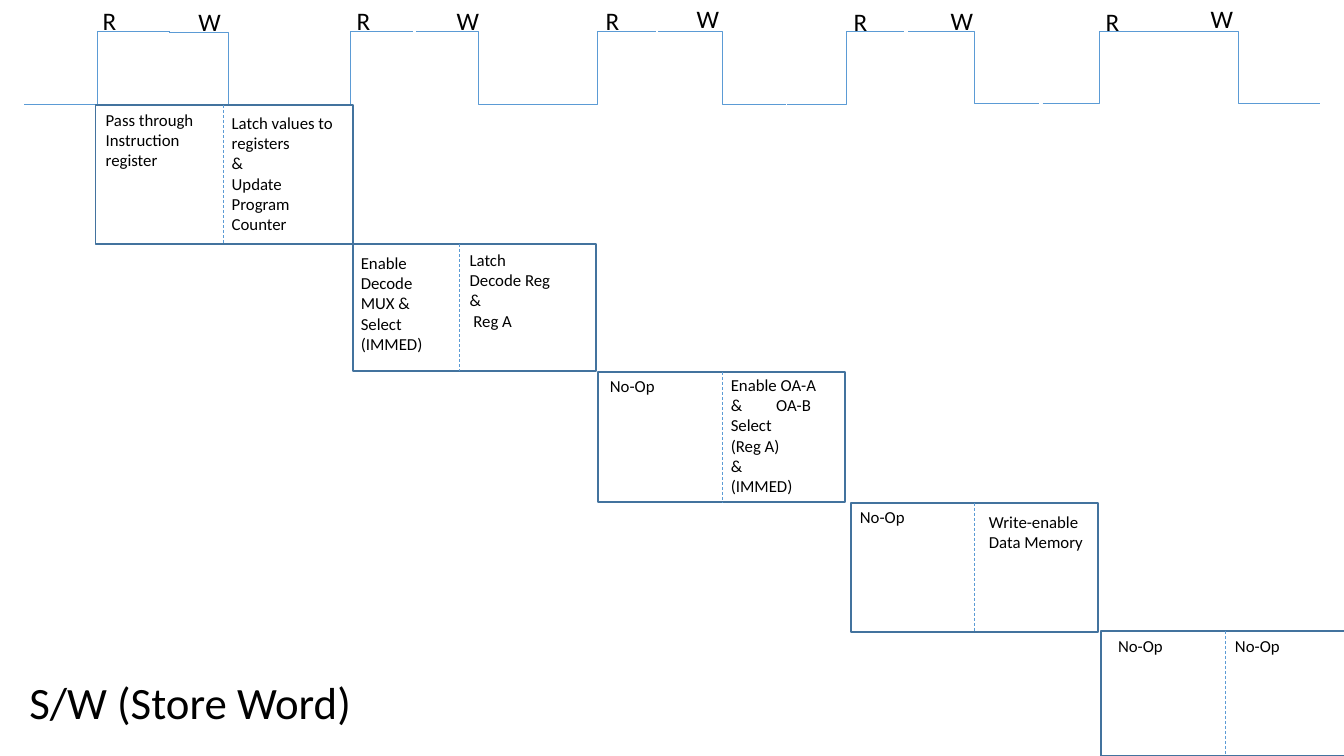
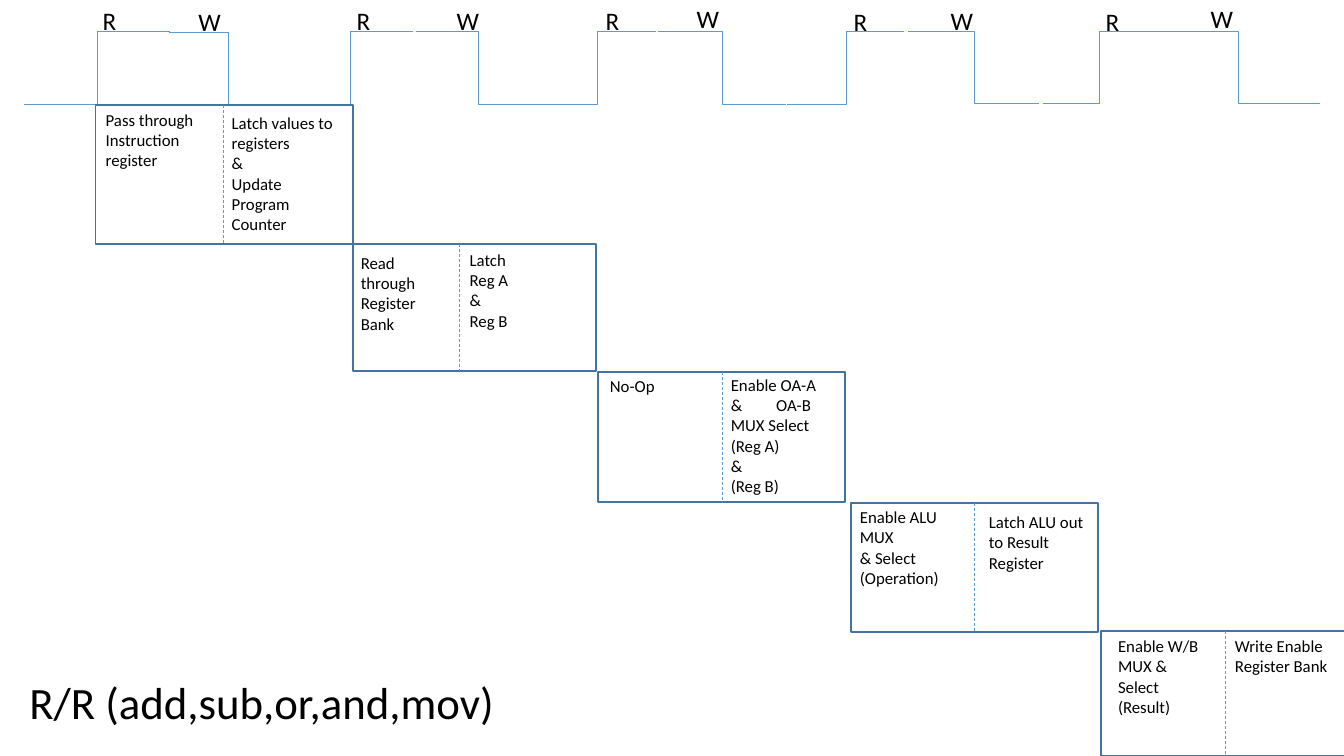
from dataclasses import dataclass
from typing import Any, NamedTuple

from lxml.etree import SubElement
from pptx import Presentation
from pptx.dml.color import RGBColor
from pptx.enum.dml import MSO_LINE_DASH_STYLE as Dash
from pptx.enum.shapes import MSO_AUTO_SHAPE_TYPE as Shape, MSO_CONNECTOR_TYPE as Link
from pptx.enum.text import MSO_ANCHOR as Anchor, MSO_AUTO_SIZE as AutoSize, PP_ALIGN as Align
from pptx.oxml.ns import qn
from pptx.slide import Slide
from pptx.text.text import TextFrame
from pptx.util import Inches, Pt

# Shared look
BLACK = RGBColor(0x00, 0x00, 0x00)
STAGE_BLUE = RGBColor(0x43, 0x73, 0x9E)
CLOCK_BLUE = RGBColor(0x5B, 0x9B, 0xD5)
FONT = "Calibri"
FRAME_FORMAT = {"word_wrap": True, "auto_size": AutoSize.SHAPE_TO_FIT_TEXT,
                "vertical_anchor": Anchor.TOP}
TITLE_ONLY = 5
OPERAND_TAB = Inches(0.45)


class Place(NamedTuple):
    left: float
    top: float
    width: float
    height: float


class Edge(NamedTuple):
    """One clock transition, from its start to its end."""
    x1: float
    y1: float
    x2: float
    y2: float


@dataclass(frozen=True)
class Stage:
    box: Place
    divider: float
    read_at: tuple[float, float, float]
    write_at: tuple[float, float, float]


@dataclass(frozen=True)
class Step:
    """What a stage does in one half cycle, and how many rows that takes."""
    text: str
    rows: int = 1


@dataclass(frozen=True)
class Instruction:
    title: str
    steps: list[tuple[Step, Step]]


# Clock and pipeline layout
CLOCK = [
    Edge(0.24, 1.04, 1.69, 0.31), Edge(1.68, 0.32, 2.85, 1.05),
    Edge(2.85, 1.04, 4.10, 0.31), Edge(4.13, 0.31, 5.35, 1.04),
    Edge(5.35, 1.04, 6.51, 0.31), Edge(6.53, 0.31, 7.80, 1.04),
    Edge(7.81, 1.04, 8.97, 0.31), Edge(9.01, 0.31, 10.31, 1.03),
    Edge(10.34, 1.03, 11.47, 0.31), Edge(11.47, 0.31, 13.09, 1.03),
]
READ_MARKS = [(0.81, 0), (3.33, 0), (5.8, 0), (8.26, 0.01), (10.76, 0.01)]
WRITE_MARKS = [(1.87, 0.01), (4.43, 0), (6.81, -0.02), (9.33, 0), (11.91, -0.02)]
STAGES = [
    Stage(Place(0.95, 1.04, 2.55, 1.38), 2.22, (0.95, 1.04, 1.27), (2.2, 1.07, 1.27)),
    Stage(Place(3.5, 2.42, 2.41, 1.26), 4.56, (3.48, 2.46, 1.08), (4.56, 2.43, 1.36)),
    Stage(Place(5.93, 3.69, 2.45, 1.29), 7.16, (5.95, 3.68, 1.19), (7.15, 3.67, 1.27)),
    Stage(Place(8.44, 4.99, 2.45, 1.28), 9.66, (8.43, 4.98, 1.26), (9.71, 5.03, 1.22)),
    Stage(Place(10.92, 6.26, 2.47, 1.24), 12.15, (10.99, 6.26, 1.22), (12.15, 6.26, 1.18)),
]
TITLE_PLACE = Place(0.19, 6.64, 6.11, 0.64)

# Instructions, one per slide
NO_OP = Step("No-Op")
FETCH = (Step("Pass through\nInstruction register", 3),
         Step("Latch values to registers\n&\nUpdate\nProgram Counter", 6))
INSTRUCTIONS = [
    Instruction("S/W (Store Word)", [
        FETCH,
        (Step("Enable Decode MUX &\nSelect\n(IMMED)", 5),
         Step("Latch\nDecode Reg\n&\n Reg A", 4)),
        (NO_OP, Step("Enable OA-A\n&\tOA-B\nSelect\n(Reg A)\n&\n(IMMED)", 6)),
        (NO_OP, Step("Write-enable\nData Memory", 2)),
        (NO_OP, NO_OP),
    ]),
    Instruction("R/R (add,sub,or,and,mov)", [
        FETCH,
        (Step("Read through Register Bank", 4), Step("Latch\nReg A\n&\nReg B", 4)),
        (NO_OP, Step("Enable OA-A\n&\tOA-B\nMUX Select\n(Reg A)\n&\n(Reg B)", 6)),
        (Step("Enable ALU MUX\n& Select\n(Operation)", 4),
         Step("Latch ALU out to Result Register", 3)),
        (Step("Enable W/B MUX &\nSelect\n(Result)", 4),
         Step("Write Enable\nRegister Bank", 2)),
    ]),
]


def apply(target: Any, values: dict[str, Any]) -> None:
    for name, value in values.items():
        setattr(target, name, value)


def inches(place: Place | Edge) -> list[Inches]:
    return [Inches(length) for length in place]


def write(frame: TextFrame, text: str, size: int, align: Align = Align.LEFT) -> None:
    apply(frame, FRAME_FORMAT)
    for index, line in enumerate(text.split("\n")):
        paragraph = frame.add_paragraph() if index else frame.paragraphs[0]
        paragraph.alignment = align
        run = paragraph.add_run()
        run.text = line
        apply(run.font, {"name": FONT, "size": Pt(size)})
        run.font.color.rgb = BLACK
        if "\t" in line:
            tabs = SubElement(paragraph._p.get_or_add_pPr(), qn("a:tabLst"))
            SubElement(tabs, qn("a:tab"), pos=str(int(OPERAND_TAB)), algn="l")


def add_label(slide: Slide, place: Place, text: str, size: int,
              align: Align = Align.LEFT) -> None:
    write(slide.shapes.add_textbox(*inches(place)).text_frame, text, size, align)


def add_line(slide: Slide, kind: Link, ends: Edge, dash: Dash | None = None) -> None:
    connector = slide.shapes.add_connector(kind, *inches(ends))
    connector.line.color.rgb = CLOCK_BLUE
    apply(connector.line, {"width": Pt(0.5), "dash_style": dash})
    SubElement(connector._element.spPr, qn("a:effectLst"))


def add_clock(slide: Slide) -> None:
    for edge in CLOCK:
        add_line(slide, Link.ELBOW, edge)
    for left, top in READ_MARKS:
        add_label(slide, Place(left, top, 0.55, 0.4), "R", 18, Align.CENTER)
    for left, top in WRITE_MARKS:
        add_label(slide, Place(left, top, 0.59, 0.4), "W", 18)


def add_stage(slide: Slide, stage: Stage, steps: tuple[Step, Step]) -> None:
    box = slide.shapes.add_shape(Shape.RECTANGLE, *inches(stage.box))
    box.shadow.inherit = False
    box.fill.background()
    box.line.color.rgb = STAGE_BLUE
    box.line.width = Pt(1)
    top, bottom = stage.box.top, stage.box.top + stage.box.height
    add_line(slide, Link.STRAIGHT, Edge(stage.divider, top, stage.divider, bottom), Dash.DASH)
    for at, step in zip((stage.read_at, stage.write_at), steps):
        add_label(slide, Place(*at, 0.1 + 0.2 * step.rows), step.text, 12)


def add_title(slide: Slide, text: str) -> None:
    title = slide.shapes.title
    apply(title, dict(zip(Place._fields, inches(TITLE_PLACE))))
    write(title.text_frame, text, 32)


# Build the deck
deck = Presentation()
apply(deck, {"slide_width": Inches(13.33), "slide_height": Inches(7.5)})
for instruction in INSTRUCTIONS:
    slide = deck.slides.add_slide(deck.slide_layouts[TITLE_ONLY])
    add_clock(slide)
    for stage, steps in zip(STAGES, instruction.steps):
        add_stage(slide, stage, steps)
    add_title(slide, instruction.title)
deck.save("out.pptx")
